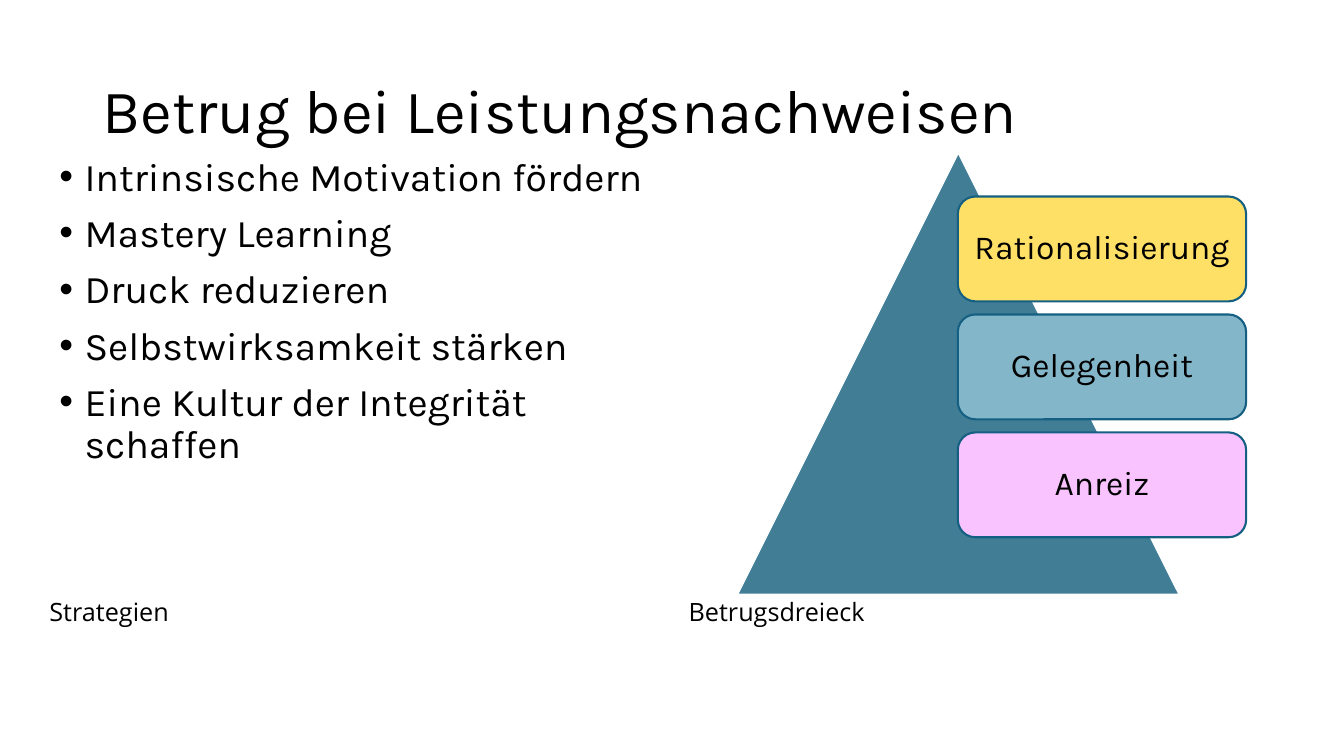
from lxml import etree
from pptx import Presentation
from pptx.dml.color import RGBColor
from pptx.enum.shapes import MSO_SHAPE
from pptx.enum.text import MSO_ANCHOR, PP_ALIGN
from pptx.oxml.ns import qn
from pptx.util import Inches, Pt

TRIANGLE = MSO_SHAPE.ISOSCELES_TRIANGLE
ROUNDED = MSO_SHAPE.ROUNDED_RECTANGLE
TOP, MIDDLE = MSO_ANCHOR.TOP, MSO_ANCHOR.MIDDLE
LEFT, CENTER = PP_ALIGN.LEFT, PP_ALIGN.CENTER

HEADING_FONT, CAPTION_FONT = "Karla", "Open Sans"
BLACK = "000000"

STRATEGIES = [
    "Intrinsische Motivation fördern",
    "Mastery Learning",
    "Druck reduzieren",
    "Selbstwirksamkeit stärken",
    "Eine Kultur der Integrität schaffen",
]
FACTORS = [
    ("Rationalisierung", "FFE066"),
    ("Gelegenheit", "83B6C9"),
    ("Anreiz", "F8C3FF"),
]


def color(value):
    return RGBColor.from_string(value)


def place(left, top, width, height):
    return [Inches(length) for length in (left, top, width, height)]


def add_bullet(para):
    properties = para._p.get_or_add_pPr()
    properties.set("marL", str(Inches(0.25)))
    properties.set("indent", str(-Inches(0.25)))
    font = etree.SubElement(properties, qn("a:buFont"))
    font.set("typeface", "Arial")
    bullet = etree.SubElement(properties, qn("a:buChar"))
    bullet.set("char", "•")


def write(shape, lines, size, font=HEADING_FONT, anchor=TOP, align=LEFT,
          side_inset=0.1, bulleted=False):
    frame = shape.text_frame
    frame.text = "\n".join(lines)
    frame.word_wrap = True
    frame.vertical_anchor = anchor
    frame.margin_left = frame.margin_right = Inches(side_inset)
    for index, para in enumerate(frame.paragraphs):
        para.alignment = align
        para.line_spacing = 0.9
        if index:
            para.space_before = Pt(10)
        if bulleted:
            add_bullet(para)
        for span in para.runs:
            span.font.name = font
            span.font.size = Pt(size)
            span.font.color.rgb = color(BLACK)


def add_text(page, position, lines, size, **style):
    box = page.shapes.add_textbox(*place(*position))
    write(box, lines, size, **style)


def add_shape(page, kind, position, fill, line):
    shape = page.shapes.add_shape(kind, *place(*position))
    shape.shadow.inherit = False
    shape.fill.solid()
    shape.fill.fore_color.rgb = color(fill)
    shape.line.color.rgb = color(line)
    shape.line.width = Pt(1.5)
    return shape


def main():
    deck = Presentation()
    deck.slide_width, deck.slide_height = Inches(13.33), Inches(7.5)
    page = deck.slides.add_slide(deck.slide_layouts[6])

    # Captions below the two columns
    for left, caption in ((0.49, "Strategien"), (6.83, "Betrugsdreieck")):
        add_text(page, (left, 5.9, 6.02, 0.79), [caption], 18,
                 font=CAPTION_FONT, side_inset=0)

    # Strategies
    add_text(page, (0.49, 1.51, 6.02, 4.4), STRATEGIES, 28, bulleted=True)

    # Fraud triangle with its three factors
    add_shape(page, TRIANGLE, (7.31, 1.51, 4.39, 4.39), "417D95", "FFFFFF")
    for index, (factor, fill) in enumerate(FACTORS):
        card = add_shape(page, ROUNDED, (9.5, 1.95 + index * 1.17, 2.86, 1.04),
                         fill, "156082")
        write(card, [factor], 24, anchor=MIDDLE, align=CENTER)

    # Title
    add_text(page, (0.92, 0.4, 11.5, 1.45), ["Betrug bei Leistungsnachweisen"],
             44, anchor=MIDDLE)

    deck.save("out.pptx")


if __name__ == "__main__":
    main()
